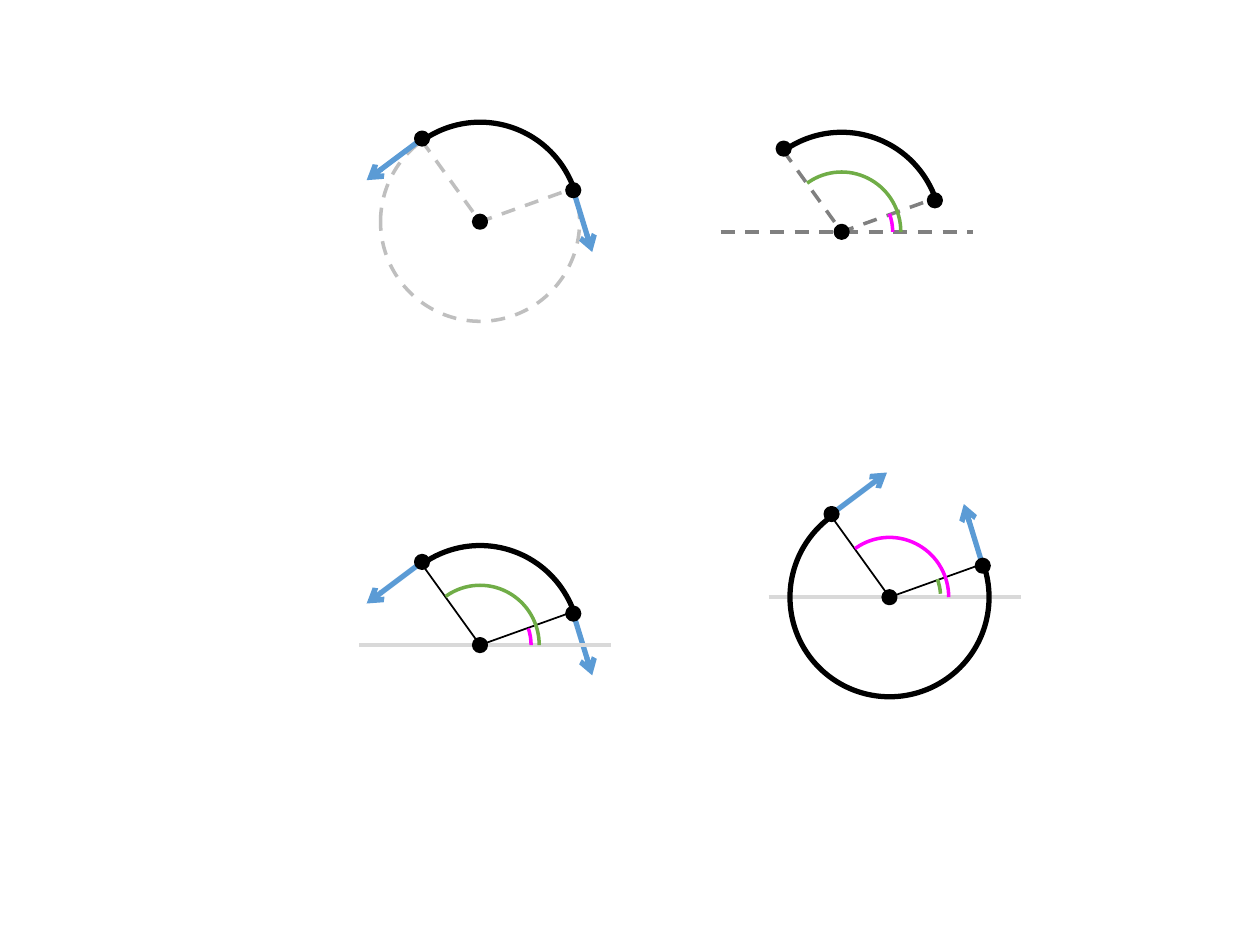
from lxml.etree import SubElement
from pptx import Presentation
from pptx.dml.color import RGBColor
from pptx.enum.dml import MSO_LINE
from pptx.enum.shapes import MSO_CONNECTOR, MSO_SHAPE
from pptx.oxml.ns import qn
from pptx.util import Inches, Pt

BLACK, BLUE, GREEN, PINK = "000000", "5B9BD5", "70AD47", "FF00FF"
GREY, SILVER, PALE = "808080", "BFBFBF", "D9D9D9"

# Angles run clockwise from the positive x axis, in degrees
UPPER, LOWER = 234.27, 340.3
ENDS = [(-0.46, -0.66), (0.74, -0.25)]        # arc ends, from the centre
TANGENTS = [(-0.44, 0.33), (0.15, 0.49)]      # counter-clockwise, clockwise
AXIS = (-0.96, 1.04)
CIRCLE, DOT = (1.58, 1.58), (0.1, 0.1)
SMALL, LARGE = (0.81, 0.82), (0.94, 0.95)

# spokes: colour, width, dashed; axis: colour, dashed;
# arrows: 1 outward, -1 inward, 0 none; angles: size, from, to, colour
DIAGRAMS = [
    dict(centre=(6.68, 1.84), spokes=(GREY, 2, True), axis=(GREY, True),
         sweep=(UPPER, LOWER), arrows=0, circle=False,
         angles=[(SMALL, 339.3, 0, PINK), (LARGE, 234.72, 0, GREEN)]),
    dict(centre=(3.81, 1.76), spokes=(SILVER, 2, True), axis=None,
         sweep=(UPPER, LOWER), arrows=1, circle=True, angles=[]),
    dict(centre=(7.06, 4.74), spokes=(BLACK, 1, False), axis=(PALE, False),
         sweep=(LOWER, UPPER), arrows=-1, circle=False,
         angles=[(SMALL, 339.3, 356.07, GREEN), (LARGE, 234.72, 0, PINK)]),
    dict(centre=(3.81, 5.12), spokes=(BLACK, 1, False), axis=(PALE, False),
         sweep=(UPPER, LOWER), arrows=1, circle=False,
         angles=[(SMALL, 341.03, 0, PINK), (LARGE, 234.72, 0, GREEN)]),
]


def rgb(color):
    return RGBColor.from_string(color)


def set_line(line, color, width, dashed):
    line.color.rgb = rgb(color)
    line.width = Pt(width)
    if dashed:
        line.dash_style = MSO_LINE.DASH


def add_round(group, kind, centre, size, color, width=2, dashed=False,
              sweep=(), filled=False):
    """Add a shape around its centre; sweep gives the start and end angles."""
    (x, y), (w, h) = centre, size
    shape = group.shapes.add_shape(kind, Inches(x - w / 2), Inches(y - h / 2),
                                   Inches(w), Inches(h))
    shape.shadow.inherit = False
    for index, angle in enumerate(sweep):
        # 60000 units to the degree, while adjustments count 100000 as one
        shape.adjustments[index] = angle * 0.6
    if filled:
        shape.fill.solid()
        shape.fill.fore_color.rgb = rgb(color)
    else:
        shape.fill.background()
    set_line(shape.line, color, width, dashed)


def add_line(group, start, end, color, width=2, dashed=False, arrow=False):
    points = [Inches(value) for value in (*start, *end)]
    line = group.shapes.add_connector(MSO_CONNECTOR.STRAIGHT, *points)
    set_line(line.line, color, width, dashed)
    properties = line._element.spPr
    if arrow:
        SubElement(properties.find(qn("a:ln")), qn("a:tailEnd"), type="arrow")
    SubElement(properties, qn("a:effectLst"))


def add_diagram(page, centre, spokes, axis, sweep, arrows, circle, angles):
    group = page.shapes.add_group_shape()
    x, y = centre
    ends = [(x + dx, y + dy) for dx, dy in ENDS]

    # Guides and tangent arrows
    if circle:
        add_round(group, MSO_SHAPE.OVAL, centre, CIRCLE, SILVER, dashed=True)
    if arrows:
        for (end_x, end_y), (dx, dy) in zip(ends, TANGENTS):
            tip = (end_x + arrows * dx, end_y + arrows * dy)
            add_line(group, (end_x, end_y), tip, BLUE, 3, arrow=True)
    if axis:
        color, dashed = axis
        left, right = AXIS
        add_line(group, (x + left, y), (x + right, y), color, dashed=dashed)

    # Sector and main arc
    add_round(group, MSO_SHAPE.PIE, centre, CIRCLE, *spokes, sweep=sweep)
    add_round(group, MSO_SHAPE.ARC, centre, CIRCLE, BLACK, 3, sweep=sweep)

    # Points and angle marks
    for point in [centre, *ends]:
        add_round(group, MSO_SHAPE.OVAL, point, DOT, BLACK, filled=True)
    for size, start, end, color in angles:
        add_round(group, MSO_SHAPE.ARC, centre, size, color, sweep=(start, end))


def main():
    deck = Presentation()
    deck.slide_width, deck.slide_height = Inches(10), Inches(7.5)
    page = deck.slides.add_slide(deck.slide_layouts[6])
    for diagram in DIAGRAMS:
        add_diagram(page, **diagram)
    deck.save("out.pptx")


if __name__ == "__main__":
    main()
